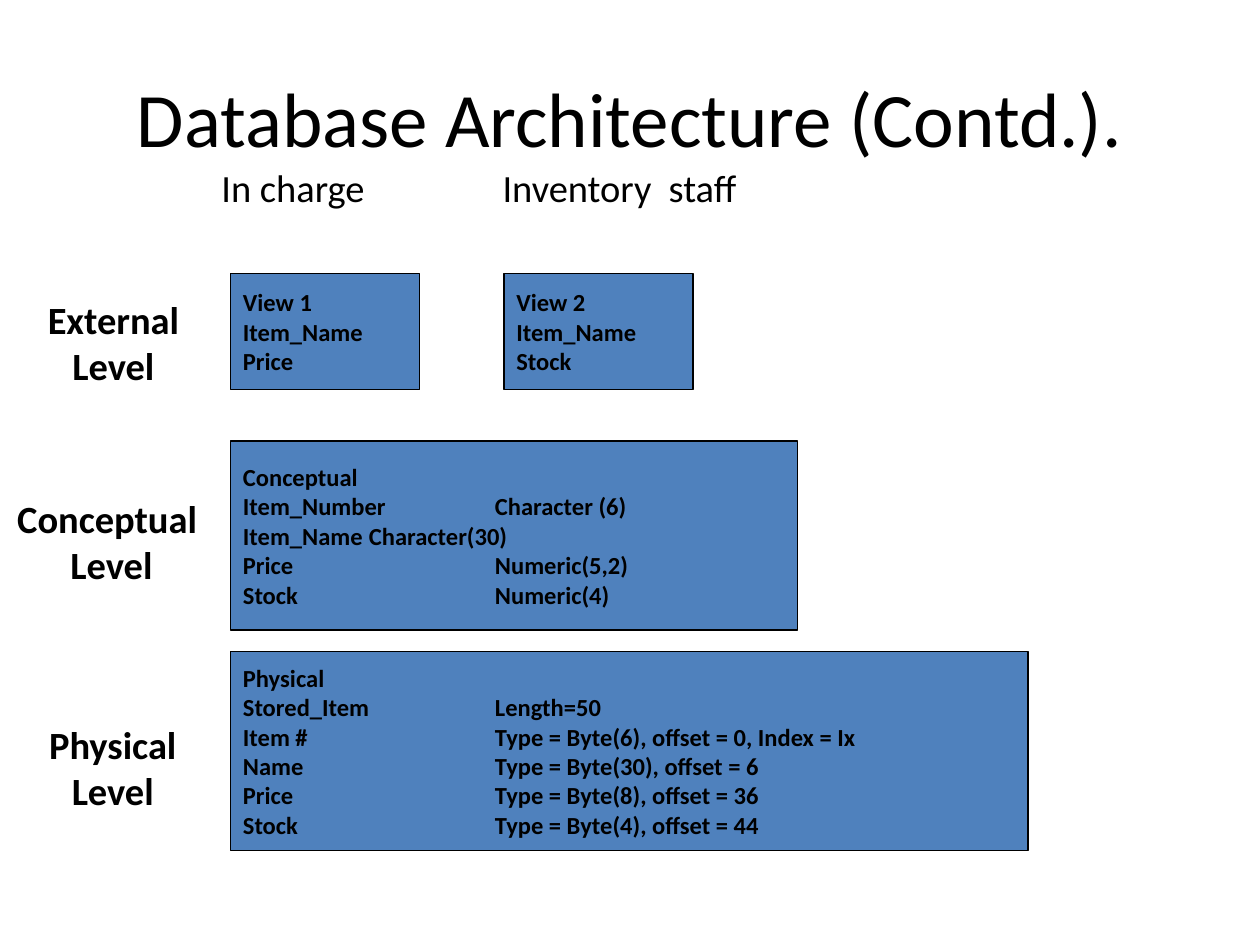
from dataclasses import dataclass

from lxml import etree
from pptx import Presentation
from pptx import util as u
from pptx.dml.color import RGBColor
from pptx.enum import shapes, text
from pptx.oxml import ns


@dataclass(frozen=True)
class Theme:
    font: str = "Calibri"
    ink: RGBColor = RGBColor(0x00, 0x00, 0x00)
    panel: RGBColor = RGBColor(0x4F, 0x81, 0xBD)
    title_size: float = 44
    label_size: float = 22
    schema_size: float = 14
    outline: float = 0.75


@dataclass(frozen=True)
class Area:
    left: float
    top: float
    width: float
    height: float

    def lengths(self) -> tuple:
        return tuple(map(u.Inches, (self.left, self.top, self.width, self.height)))


@dataclass(frozen=True)
class Schema:
    area: Area
    lines: tuple[str, ...]


@dataclass(frozen=True)
class Label:
    area: Area
    lines: tuple[str, ...]
    bold: bool = False
    align: text.PP_ALIGN = text.PP_ALIGN.LEFT
    wrap: bool = False


THEME = Theme()
LEVEL_LEFT = 1.83
VIEW_TOP, VIEW_WIDTH, VIEW_HEIGHT = 2.17, 1.5, 0.92
LEVEL_HEIGHT, USER_TOP, USER_HEIGHT = 0.84, 1.25, 0.47
FIELD_STOPS = (1, 2)


def view(left: float, *lines: str) -> Schema:
    return Schema(Area(left, VIEW_TOP, VIEW_WIDTH, VIEW_HEIGHT), lines)


def level(left: float, top: float, width: float, name: str) -> Label:
    area = Area(left, top, width, LEVEL_HEIGHT)
    return Label(area, (name, "Level"), True, text.PP_ALIGN.CENTER)


def user(left: float, width: float, name: str, wrap: bool = False) -> Label:
    return Label(Area(left, USER_TOP, width, USER_HEIGHT), (name,), wrap=wrap)


SCHEMAS = (
    view(LEVEL_LEFT, "View 1", "Item_Name", "Price"),
    view(4, "View 2", "Item_Name", "Stock"),
    Schema(Area(LEVEL_LEFT, 3.5, 4.5, 1.5), (
        "Conceptual",
        "Item_Number\tCharacter (6)",
        "Item_Name\tCharacter(30)",
        "Price\t\tNumeric(5,2)",
        "Stock\t\tNumeric(4)",
    )),
    Schema(Area(LEVEL_LEFT, 5.17, 6.33, 1.58), (
        "Physical",
        "Stored_Item\tLength=50",
        "Item #\t\tType = Byte(6), offset = 0, Index = Ix",
        "Name\t\tType = Byte(30), offset = 6",
        "Price\t\tType = Byte(8), offset = 36",
        "Stock\t\tType = Byte(4), offset = 44",
    )),
)

LABELS = (
    level(0.19, 2.3, 1.42, "External"),
    level(-0.1, 3.88, 1.97, "Conceptual "),
    level(0.17, 5.67, 1.45, "Physical"),
    user(1.66, 1.67, "In charge", wrap=True),
    user(3.89, 2.22, "Inventory  staff"),
)


def apply(target, values: dict) -> None:
    for name, value in values.items():
        setattr(target, name, value)


def set_field_stops(paragraph) -> None:
    properties = paragraph._p.get_or_add_pPr()
    stops = etree.SubElement(properties, ns.qn("a:tabLst"))
    for stop in FIELD_STOPS:
        etree.SubElement(stops, ns.qn("a:tab"), pos=str(u.Inches(stop)), algn="l")


def write(frame, lines: tuple[str, ...], size: float, bold: bool,
          align: text.PP_ALIGN, **layout) -> None:
    apply(frame, layout)
    frame.text = "\n".join(lines)
    for paragraph in frame.paragraphs:
        paragraph.alignment = align
        if "\t" in paragraph.text:
            set_field_stops(paragraph)
        for run in paragraph.runs:
            apply(run.font, {"name": THEME.font, "size": u.Pt(size), "bold": bold})
            run.font.color.rgb = THEME.ink


def draw_title(slide, area: Area, wording: str) -> None:
    title = slide.shapes.title
    apply(title, dict(zip(("left", "top", "width", "height"), area.lengths())))
    write(title.text_frame, (wording,), THEME.title_size, False,
          text.PP_ALIGN.CENTER, vertical_anchor=text.MSO_ANCHOR.MIDDLE)


def draw_schema(slide, schema: Schema) -> None:
    panel = slide.shapes.add_shape(shapes.MSO_SHAPE.RECTANGLE, *schema.area.lengths())
    panel.shadow.inherit = False
    panel.fill.solid()
    panel.fill.fore_color.rgb = THEME.panel
    panel.line.color.rgb = THEME.ink
    panel.line.width = u.Pt(THEME.outline)
    write(panel.text_frame, schema.lines, THEME.schema_size, True,
          text.PP_ALIGN.LEFT, word_wrap=False,
          vertical_anchor=text.MSO_ANCHOR.MIDDLE)


def draw_label(slide, label: Label) -> None:
    box = slide.shapes.add_textbox(*label.area.lengths())
    write(box.text_frame, label.lines, THEME.label_size, label.bold, label.align,
          word_wrap=label.wrap, auto_size=text.MSO_AUTO_SIZE.SHAPE_TO_FIT_TEXT)


def main() -> None:
    deck = Presentation()
    apply(deck, {"slide_width": u.Inches(10), "slide_height": u.Inches(7.5)})
    slide = deck.slides.add_slide(deck.slide_layouts[5])
    draw_title(slide, Area(0.5, 0.3, 9, 1.25), "Database Architecture (Contd.).")
    for schema in SCHEMAS:
        draw_schema(slide, schema)
    for label in LABELS:
        draw_label(slide, label)
    deck.save("out.pptx")


if __name__ == "__main__":
    main()
